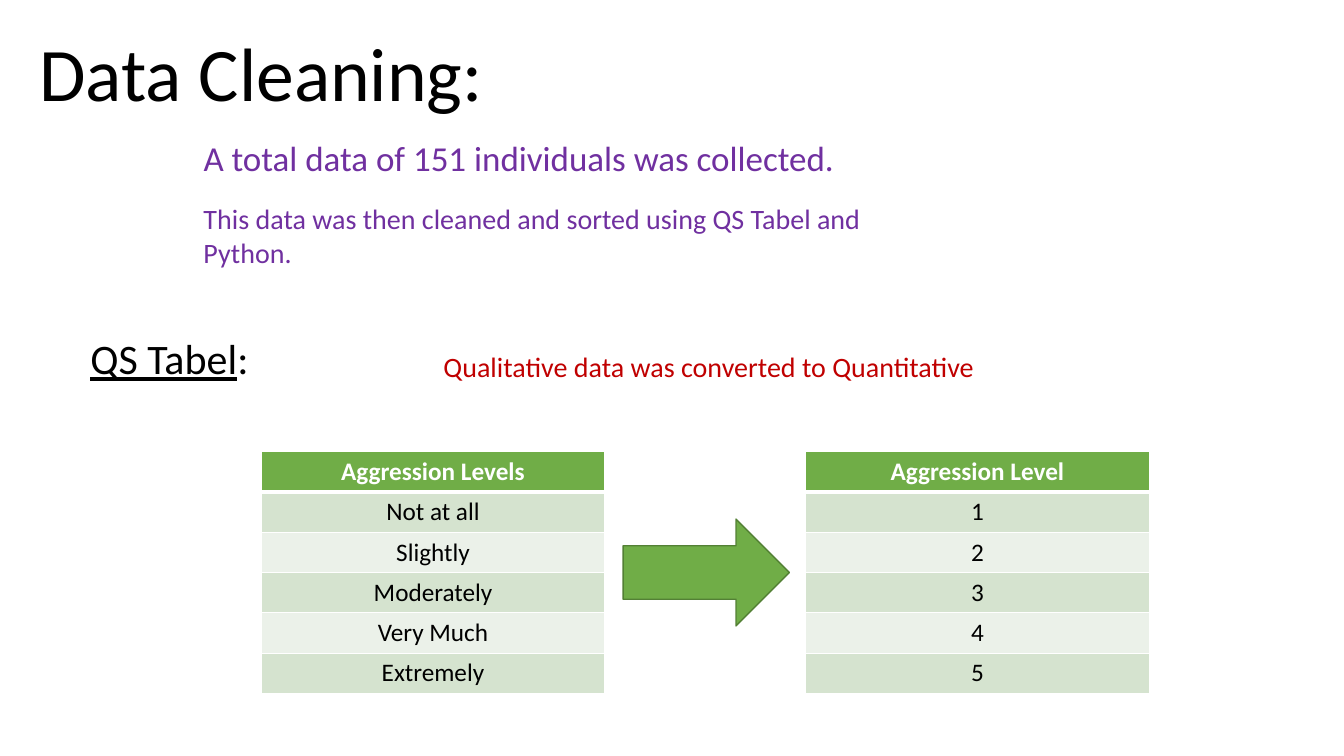
from dataclasses import dataclass
from typing import Any

from lxml.etree import SubElement
from pptx import Presentation
from pptx.dml.color import RGBColor
from pptx.enum.shapes import MSO_SHAPE as Preset
from pptx.enum.text import MSO_ANCHOR as Anchor, MSO_AUTO_SIZE as AutoSize, PP_ALIGN as Align
from pptx.oxml.ns import qn
from pptx.util import Inches, Pt


@dataclass(frozen=True)
class Theme:
    font: str = "Calibri"
    black: str = "000000"
    white: str = "FFFFFF"
    purple: str = "7030A0"
    red: str = "C00000"
    green: str = "70AD47"
    dark_green: str = "538035"
    bands: tuple[str, str] = ("D5E3CF", "EBF1E9")
    title: float = 54
    heading: float = 30
    lead: float = 25
    body: float = 20
    cell: float = 18


@dataclass(frozen=True)
class Box:
    left: float
    top: float
    width: float
    height: float

    def emu(self) -> tuple[int, ...]:
        return tuple(Inches(v) for v in (self.left, self.top, self.width, self.height))


@dataclass(frozen=True)
class Label:
    box: Box
    text: str
    size: float
    color: str
    align: Align = Align.LEFT
    wrap: bool = True
    underlined: str = ""


@dataclass(frozen=True)
class Scale:
    left: float
    header: str
    levels: tuple[str, ...]


THEME = Theme()
SCALE_TOP, SCALE_WIDTH, ROW_HEIGHT = 4.48, 3.41, 0.4
THIN, THICK = 1, 3

TITLE = Label(Box(0, 0.21, 5.18, 1.01), "Data Cleaning:", THEME.title, THEME.black, Align.CENTER)
LABELS = (
    Label(Box(1.92, 1.3, 6.52, 0.52), "A total data of 151 individuals was collected.",
          THEME.lead, THEME.purple, wrap=False),
    Label(Box(1.92, 1.95, 6.76, 0.77),
          "This data was then cleaned and sorted using QS Tabel and Python.",
          THEME.body, THEME.purple),
    Label(Box(0.77, 3.25, 1.82, 0.61), ":", THEME.heading, THEME.black,
          Align.CENTER, wrap=False, underlined="QS Tabel"),
    Label(Box(4.3, 3.42, 6.76, 0.44), "Qualitative data was converted to Quantitative",
          THEME.body, THEME.red),
)
SCALES = (
    Scale(2.59, "Aggression Levels",
          ("Not at all", "Slightly", "Moderately", "Very Much", "Extremely")),
    Scale(7.99, "Aggression Level", ("1", "2", "3", "4", "5")),
)
ARROW = Box(6.18, 5.15, 1.65, 1.06)


def apply_format(target: Any, values: dict[str, Any]) -> None:
    for attribute, value in values.items():
        setattr(target, attribute, value)


def add_run(paragraph: Any, text: str, size: float, color: str, **extra: bool) -> None:
    run = paragraph.add_run()
    run.text = text
    apply_format(run.font, {"name": THEME.font, "size": Pt(size), **extra})
    run.font.color.rgb = RGBColor.from_string(color)


def write_label(shape: Any, label: Label) -> None:
    left, top, width, height = label.box.emu()
    apply_format(shape, {"left": left, "top": top, "width": width, "height": height})
    frame = shape.text_frame
    apply_format(frame, {"word_wrap": label.wrap, "auto_size": AutoSize.NONE,
                         "vertical_anchor": Anchor.TOP})
    paragraph = frame.paragraphs[0]
    paragraph.alignment = label.align
    if label.underlined:
        add_run(paragraph, label.underlined, label.size, label.color, underline=True)
    add_run(paragraph, label.text, label.size, label.color)


def set_borders(cell: Any, top: float, bottom: float) -> None:
    properties = cell._tc.get_or_add_tcPr()
    edges = {"a:lnL": THIN, "a:lnR": THIN, "a:lnT": top, "a:lnB": bottom}
    for position, (tag, width) in enumerate(edges.items()):
        line = SubElement(properties, qn(tag), w=str(Pt(width)))
        SubElement(SubElement(line, qn("a:solidFill")), qn("a:srgbClr"), val=THEME.white)
        properties.insert(position, line)


def add_scale(slide: Any, scale: Scale) -> None:
    entries = (scale.header, *scale.levels)
    box = Box(scale.left, SCALE_TOP, SCALE_WIDTH, ROW_HEIGHT * len(entries))
    table = slide.shapes.add_table(len(entries), 1, *box.emu()).table
    for row, entry in enumerate(entries):
        is_header = row == 0
        cell = table.cell(row, 0)
        apply_format(cell, {"margin_top": Inches(0.04), "margin_bottom": Inches(0.04),
                            "vertical_anchor": Anchor.MIDDLE})
        cell.fill.solid()
        cell.fill.fore_color.rgb = RGBColor.from_string(
            THEME.green if is_header else THEME.bands[(row - 1) % 2])
        set_borders(cell, THICK if row == 1 else THIN, THICK if is_header else THIN)
        paragraph = cell.text_frame.paragraphs[0]
        paragraph.alignment = Align.CENTER
        add_run(paragraph, entry, THEME.cell,
                THEME.white if is_header else THEME.black, bold=is_header)


def add_arrow(slide: Any, box: Box) -> None:
    arrow = slide.shapes.add_shape(Preset.RIGHT_ARROW, *box.emu())
    arrow.shadow.inherit = False
    arrow.fill.solid()
    arrow.fill.fore_color.rgb = RGBColor.from_string(THEME.green)
    arrow.line.color.rgb = RGBColor.from_string(THEME.dark_green)
    arrow.line.width = Pt(1)


def main() -> None:
    deck = Presentation()
    apply_format(deck, {"slide_width": Inches(13.33), "slide_height": Inches(7.5)})
    slide = deck.slides.add_slide(deck.slide_layouts.get_by_name("Title Only"))
    write_label(slide.shapes.title, TITLE)
    for label in LABELS:
        write_label(slide.shapes.add_textbox(*label.box.emu()), label)
    for scale in SCALES:
        add_scale(slide, scale)
    add_arrow(slide, ARROW)
    deck.save("out.pptx")


if __name__ == "__main__":
    main()
